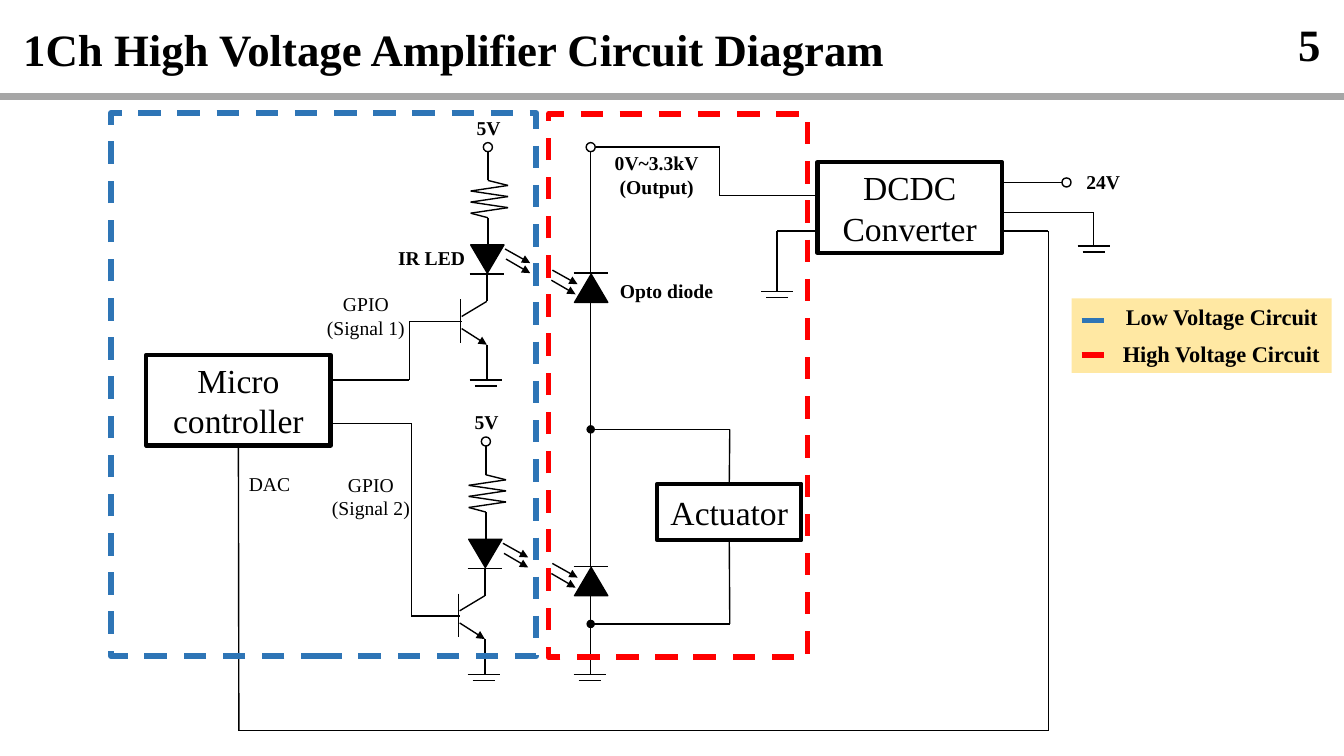
from lxml.etree import SubElement
from pptx import Presentation
from pptx.dml.color import RGBColor
from pptx.enum.dml import MSO_LINE
from pptx.enum.shapes import MSO_CONNECTOR, MSO_SHAPE
from pptx.enum.text import MSO_ANCHOR, MSO_AUTO_SIZE, PP_ALIGN
from pptx.oxml.ns import qn
from pptx.util import Cm, Pt

BLACK, WHITE, GREY = "000000", "FFFFFF", "A6A6A6"
BLUE, RED, GOLD = "2E75B6", "FF0000", "FFD966"
LEFT, RIGHT, MID = PP_ALIGN.LEFT, PP_ALIGN.RIGHT, PP_ALIGN.CENTER
TOP, BOTTOM = 0, 2


def grid(*units):
    """Turn drawing units of 2.54 cm into slide lengths."""
    return [Cm(2.54 * unit) for unit in units]


def paint(color, code):
    color.rgb = RGBColor.from_string(code)


class Board:
    font = "Times New Roman"

    def __init__(self, deck):
        self.slide = deck.slides.add_slide(deck.slide_layouts[5])
        self.shapes = self.slide.shapes

    def letter(self, shape, text, size, bold=False, align=LEFT, anchor=MSO_ANCHOR.MIDDLE):
        frame = shape.text_frame
        frame.text = text
        frame.word_wrap = True
        frame.vertical_anchor = anchor
        for para in frame.paragraphs:
            para.alignment = align
            for run in para.runs:
                run.font.name, run.font.size, run.font.bold = self.font, Pt(size), bold
                paint(run.font.color, BLACK)

    def title(self, text, *area):
        head = self.shapes.title
        head.left, head.top, head.width, head.height = grid(*area)
        self.letter(head, text, 32, True)
        head.text_frame.auto_size = MSO_AUTO_SIZE.NONE
        head.text_frame.paragraphs[0].line_spacing = 0.9

    def label(self, text, *area, size=14, bold=True, align=LEFT, anchor=MSO_ANCHOR.TOP):
        self.letter(self.shapes.add_textbox(*grid(*area)), text, size, bold, align, anchor)

    def shape(self, kind, *area, fill=None, line=None, width=1, dash=False):
        item = self.shapes.add_shape(kind, *grid(*area))
        item.shadow.inherit = False
        if fill:
            item.fill.solid()
            paint(item.fill.fore_color, fill)
        else:
            item.fill.background()
        if line:
            self.stroke(item.line, line, width, dash)
        else:
            item.line.fill.background()
        return item

    def stroke(self, line, color, width, dash):
        line.width = Pt(width)
        paint(line.color, color)
        if dash:
            line.dash_style = MSO_LINE.DASH

    def block(self, text, *area):
        item = self.shape(MSO_SHAPE.RECTANGLE, *area, fill=WHITE, line=BLACK, width=3)
        self.letter(item, text, 24, align=MID)
        return item

    def wire(self, *points, start=None, stop=None, color=BLACK, width=1, dash=False, arrow=False):
        """Join the points in turn; start and stop are (shape, side) pairs."""
        links = []
        for here, there in zip(points, points[1:]):
            link = self.shapes.add_connector(MSO_CONNECTOR.STRAIGHT, *grid(*here, *there))
            self.stroke(link.line, color, width, dash)
            props = link._element.spPr
            if arrow:
                SubElement(props.find(qn("a:ln")), qn("a:tailEnd"), type="triangle")
            SubElement(props, qn("a:effectLst"))
            links.append(link)
        if start:
            links[0].begin_connect(*start)
        if stop:
            links[-1].end_connect(*stop)

    def dot(self, x, y, size=0.09, fill=None):
        half = size / 2
        self.shape(MSO_SHAPE.OVAL, x - half, y - half, size, size, fill=fill, line=BLACK)

    def ground(self, x, y):
        for half, drop in ((0.16, 0), (0.11, 0.06)):
            self.wire((x - half, y + drop), (x + half, y + drop))

    def diode(self, x, y, flip=False):
        """Triangle from y to y + 0.28, with its bar at the tip."""
        item = self.shape(MSO_SHAPE.ISOSCELES_TRIANGLE, x - 0.16, y, 0.33, 0.28,
                          fill=BLACK, line=BLACK)
        if flip:
            item._element.spPr.xfrm.set("flipV", "1")
        bar = y + 0.29 if flip else y - 0.01
        self.wire((x - 0.17, bar), (x + 0.17, bar))

    def light(self, x, y, lean):
        """Two parallel rays; lean shifts the start of the lower one."""
        self.wire((x, y), (x + 0.25, y + 0.14), arrow=True)
        self.wire((x + lean, y + 0.1), (x + lean + 0.24, y + 0.24), arrow=True)

    def driver(self, x, y):
        """5V supply, resistor, LED, transistor and ground below (x, y)."""
        self.label("5V", x - 0.21, y - 0.36, 0.71, 0.34)
        self.dot(x, y)
        zigzag = [(x + (0.2 if step % 2 else -0.17), y + 0.38 + 0.055 * (step - 1))
                  for step in range(1, 7)]
        self.wire((x, y + 0.04), (x, y + 0.33), *zigzag, (x, y + 0.7), (x, y + 0.97))
        self.diode(x - 0.01, y + 0.97, flip=True)
        self.light(x + 0.17, y + 1.01, 0.01)
        self.wire((x - 0.01, y + 1.26), (x - 0.01, y + 1.53), (x - 0.26, y + 1.68))
        self.wire((x - 0.26, y + 1.8), (x - 0.01, y + 1.96), arrow=True)
        self.wire((x - 0.27, y + 1.51), (x - 0.27, y + 1.94))
        self.wire((x - 0.01, y + 1.96), (x - 0.01, y + 2.31))
        self.ground(x - 0.02, y + 2.31)


def main():
    deck = Presentation()
    deck.slide_width, deck.slide_height = grid(13.333, 7.5)
    board = Board(deck)

    # Heading
    board.wire((0, 0.96), (13.33, 0.96), color=GREY, width=5)
    board.title("1Ch High Voltage Amplifier Circuit Diagram", 0.13, 0.16, 10.74, 0.72)
    board.label("5", 11.94, 0.23, 1.26, 0.4, size=32, align=RIGHT, anchor=MSO_ANCHOR.MIDDLE)

    # Main blocks
    micro = board.block("Micro\ncontroller", 1.45, 3.52, 1.83, 0.9)
    board.block("DCDC\nConverter", 8.11, 1.61, 1.83, 0.9)
    motor = board.block("Actuator", 6.52, 4.8, 1.43, 0.56)

    # Low voltage side
    board.driver(4.84, 1.46)
    board.driver(4.82, 4.38)
    board.wire((3.29, 3.77), (4.06, 3.77), (4.06, 3.19), (4.58, 3.19))
    board.wire((3.29, 4.2), (4.08, 4.2), (4.08, 6.11), (4.56, 6.11))
    board.label("IR LED", 3.85, 2.39, 1.41, 0.34)
    board.label("GPIO\n(Signal 1)", 3.13, 2.85, 1, 0.57, bold=False, align=MID)
    board.label("GPIO\n(Signal 2)", 3.18, 4.64, 1, 0.57, bold=False, align=MID)
    board.label("DAC", 2.37, 4.63, 0.7, 0.34, bold=False)

    # High voltage side
    board.dot(5.86, 1.46)
    board.wire((5.86, 1.5), (5.86, 2.71))
    board.wire((5.86, 3), (5.86, 5.62))
    board.wire((5.86, 5.9), (5.86, 6.69))
    for y in (2.72, 5.63):
        board.diode(5.86, y)
        board.light(5.48, y - 0.04, -0.01)
    board.ground(5.85, 6.69)
    for y, side, edge in ((4.26, TOP, 4.8), (6.19, BOTTOM, 5.36)):
        board.dot(5.86, y, 0.07, BLACK)
        board.wire((5.89, y), (7.24, y), (7.24, edge), stop=(motor, side))
    board.wire((5.91, 1.46), (7.14, 1.46), (7.14, 1.94), (8.11, 1.94))
    board.label("0V~3.3kV\n(Output)", 5.81, 1.45, 1.41, 0.57, align=MID)
    board.label("Opto diode", 6.05, 2.72, 1.41, 0.34)

    # Converter supply, grounds and control line
    board.wire((9.94, 1.81), (10.54, 1.81))
    board.dot(10.58, 1.81)
    board.label("24V", 10.24, 1.64, 1.41, 0.34, align=MID)
    board.wire((8.11, 2.29), (7.71, 2.29), (7.71, 2.89))
    board.ground(7.71, 2.89)
    board.wire((9.94, 2.11), (10.85, 2.11), (10.85, 2.44))
    board.ground(10.85, 2.44)
    board.wire((2.37, 4.42), (2.37, 7.25), (10.4, 7.25), (10.4, 2.29), (9.94, 2.29),
               start=(micro, BOTTOM))

    # Zone frames
    for left, top, width, color in ((1.1, 1.12, 4.22, BLUE), (5.44, 1.13, 2.57, RED)):
        board.shape(MSO_SHAPE.RECTANGLE, left, top, width, 5.39, line=color, width=4, dash=True)

    # Legend
    panel = board.shape(MSO_SHAPE.RECTANGLE, 10.63, 2.96, 2.58, 0.74, fill=GOLD)
    tint = panel._element.spPr.find(qn("a:solidFill"))[0]
    SubElement(tint, qn("a:alpha"), val="60000")
    for text, left, top, y, color in (("Low Voltage Circuit", 11.07, 2.96, 3.18, BLUE),
                                      ("High Voltage Circuit", 11.04, 3.33, 3.52, RED)):
        board.wire((10.73, y), (11.11, y), color=color, width=4, dash=True)
        board.label(text, left, top, 2.25, 0.37, size=16)

    deck.save("out.pptx")


if __name__ == "__main__":
    main()
